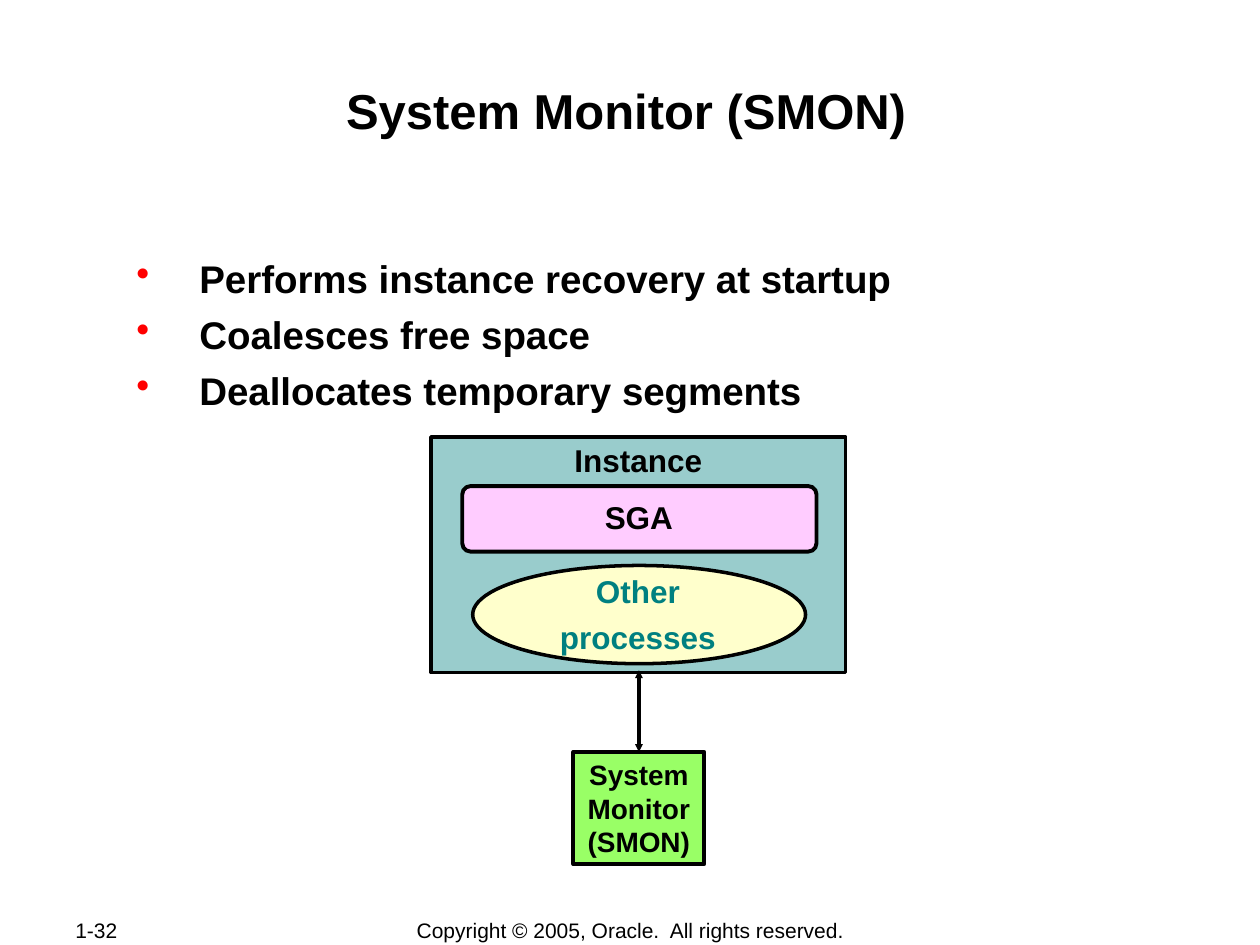
from dataclasses import dataclass

from lxml import etree
from pptx import Presentation
from pptx.dml.color import RGBColor
from pptx.enum.shapes import MSO_CONNECTOR, MSO_SHAPE
from pptx.enum.text import MSO_ANCHOR, PP_ALIGN
from pptx.oxml.ns import qn
from pptx.util import Cm, Pt

LEFT, CENTER = PP_ALIGN.LEFT, PP_ALIGN.CENTER
TOP, MIDDLE = MSO_ANCHOR.TOP, MSO_ANCHOR.MIDDLE
RECTANGLE, ROUNDED, OVAL = MSO_SHAPE.RECTANGLE, MSO_SHAPE.ROUNDED_RECTANGLE, MSO_SHAPE.OVAL
STRAIGHT = MSO_CONNECTOR.STRAIGHT


@dataclass(frozen=True)
class Theme:
    font: str = "Arial"
    ink: str = "000000"
    bullet: str = "FF0000"
    accent: str = "008080"
    instance: str = "99CCCC"
    memory: str = "FFCCFF"
    processes: str = "FFFFCC"
    monitor: str = "99FF66"
    title_size: float = 28
    body_size: float = 22
    label_size: float = 18
    monitor_size: float = 16
    footer_size: float = 12


THEME = Theme()


def color(value):
    return RGBColor.from_string(value)


def add_bullet(para):
    """Give a paragraph a hanging red bullet."""
    properties = para._p.get_or_add_pPr()
    properties.set("marL", str(Cm(1.6)))
    properties.set("indent", str(Cm(-1.27)))
    bullet_color = etree.SubElement(properties, qn("a:buClr"))
    etree.SubElement(bullet_color, qn("a:srgbClr"), val=THEME.bullet)
    etree.SubElement(properties, qn("a:buChar"), char="•")


def write(shape, text, *, size, ink=THEME.ink, bold=True, align=CENTER, anchor=TOP,
          insets=(0.13, 0.13, 0.13, 0.13), wrap=True, gap=0, spacing=None, bullets=False):
    """Write one paragraph per line of text; insets are left, top, right, bottom in cm."""
    frame = shape.text_frame
    frame.word_wrap = wrap
    frame.vertical_anchor = anchor
    frame.margin_left, frame.margin_top, frame.margin_right, frame.margin_bottom = map(Cm, insets)
    for index, line in enumerate(text.split("\n")):
        para = frame.add_paragraph() if index else frame.paragraphs[0]
        para.alignment = align
        if spacing:
            para.line_spacing = spacing
        if index and gap:
            para.space_before = Pt(gap)
        if bullets:
            add_bullet(para)
        span = para.add_run()
        span.text = line
        span.font.name = THEME.font
        span.font.size = Pt(size)
        span.font.bold = bold
        span.font.color.rgb = color(ink)


def add_text(slide, place, text, **style):
    box = slide.shapes.add_textbox(*map(Cm, place))
    write(box, text, **style)


def add_block(slide, kind, place, fill, line_width=2.0):
    block = slide.shapes.add_shape(kind, *map(Cm, place))
    block.shadow.inherit = False
    block.fill.solid()
    block.fill.fore_color.rgb = color(fill)
    block.line.color.rgb = color(THEME.ink)
    block.line.width = Pt(line_width)
    return block


def add_double_arrow(slide, x, start, end):
    arrow = slide.shapes.add_connector(STRAIGHT, Cm(x), Cm(start), Cm(x), Cm(end))
    arrow.line.color.rgb = color(THEME.ink)
    arrow.line.width = Pt(2.25)
    line = arrow.line._get_or_add_ln()
    for side in ("a:headEnd", "a:tailEnd"):
        etree.SubElement(line, qn(side), type="triangle", w="sm", len="sm")
    etree.SubElement(arrow._element.spPr, qn("a:effectLst"))


def add_footer(slide):
    style = dict(size=THEME.footer_size, bold=False, anchor=MIDDLE,
                 insets=(0.25, 0.13, 0.25, 0.13))
    add_text(slide, (7.01, 18.49, 11.4, 0.53),
             "Copyright © 2005, Oracle.  All rights reserved.", **style)
    add_text(slide, (1.27, 18.49, 2.69, 0.51), "1-32", align=LEFT, **style)


def add_diagram(slide):
    label = dict(size=THEME.label_size, wrap=False, insets=(0.25, 0.18, 0.25, 0.13))

    # Monitor process
    monitor = add_block(slide, RECTANGLE, (11.56, 15.16, 2.64, 2.26), THEME.monitor, 2.25)
    write(monitor, "System\nMonitor\n(SMON)", size=THEME.monitor_size, anchor=MIDDLE)

    # Instance with its memory and processes
    instance = add_block(slide, RECTANGLE, (8.69, 8.81, 8.36, 4.75), THEME.instance)
    write(instance, "Instance", size=THEME.label_size, spacing=0.95)

    memory = add_block(slide, ROUNDED, (9.32, 9.8, 7.14, 1.32), THEME.memory, 2.25)
    memory.adjustments[0] = 0.125
    add_text(slide, (11.94, 9.86, 1.88, 1.02), "SGA", **label)

    add_block(slide, OVAL, (9.53, 11.4, 6.71, 1.98), THEME.processes)
    add_text(slide, (11.02, 11.35, 3.68, 1.96), "Other\nprocesses",
             ink=THEME.accent, gap=4.5, **label)

    # Link between the two
    add_double_arrow(slide, 12.88, 15.16, 13.51)


def main():
    deck = Presentation()
    deck.slide_width, deck.slide_height = Cm(25.4), Cm(19.05)
    slide = deck.slides.add_slide(deck.slide_layouts[6])

    add_footer(slide)

    # Title and bullet list
    add_text(slide, (2.46, 1.47, 20.32, 2.44), "System Monitor (SMON)",
             size=THEME.title_size, insets=(0.03, 0.15, 0.03, 0.03))
    add_text(slide, (2.39, 5.05, 20.47, 3.25),
             "Performs instance recovery at startup\n"
             "Coalesces free space\n"
             "Deallocates temporary segments",
             size=THEME.body_size, align=LEFT, gap=5.5, bullets=True,
             insets=(0.03, 0.1, 0.03, 0.03))

    add_diagram(slide)
    deck.save("out.pptx")


if __name__ == "__main__":
    main()
